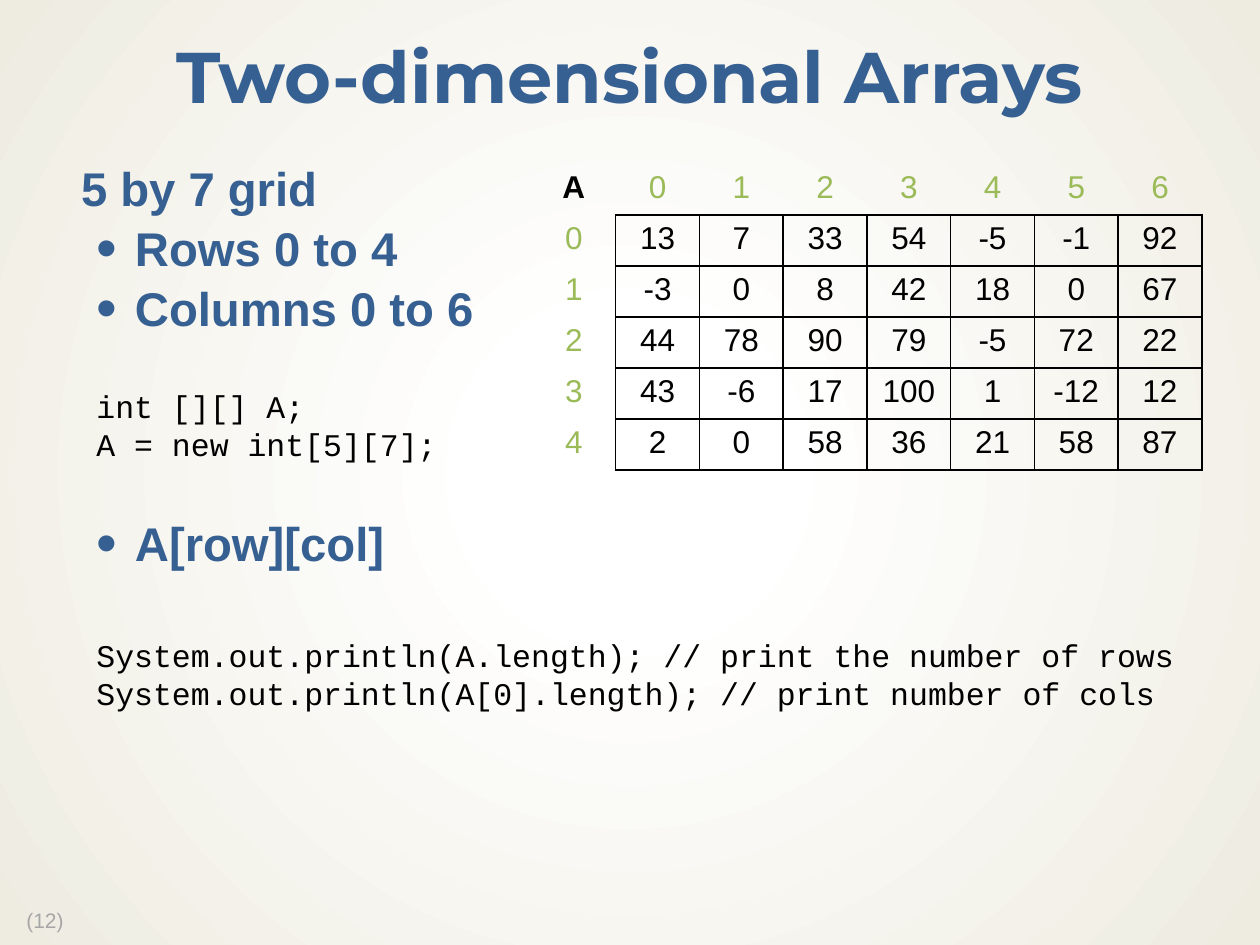
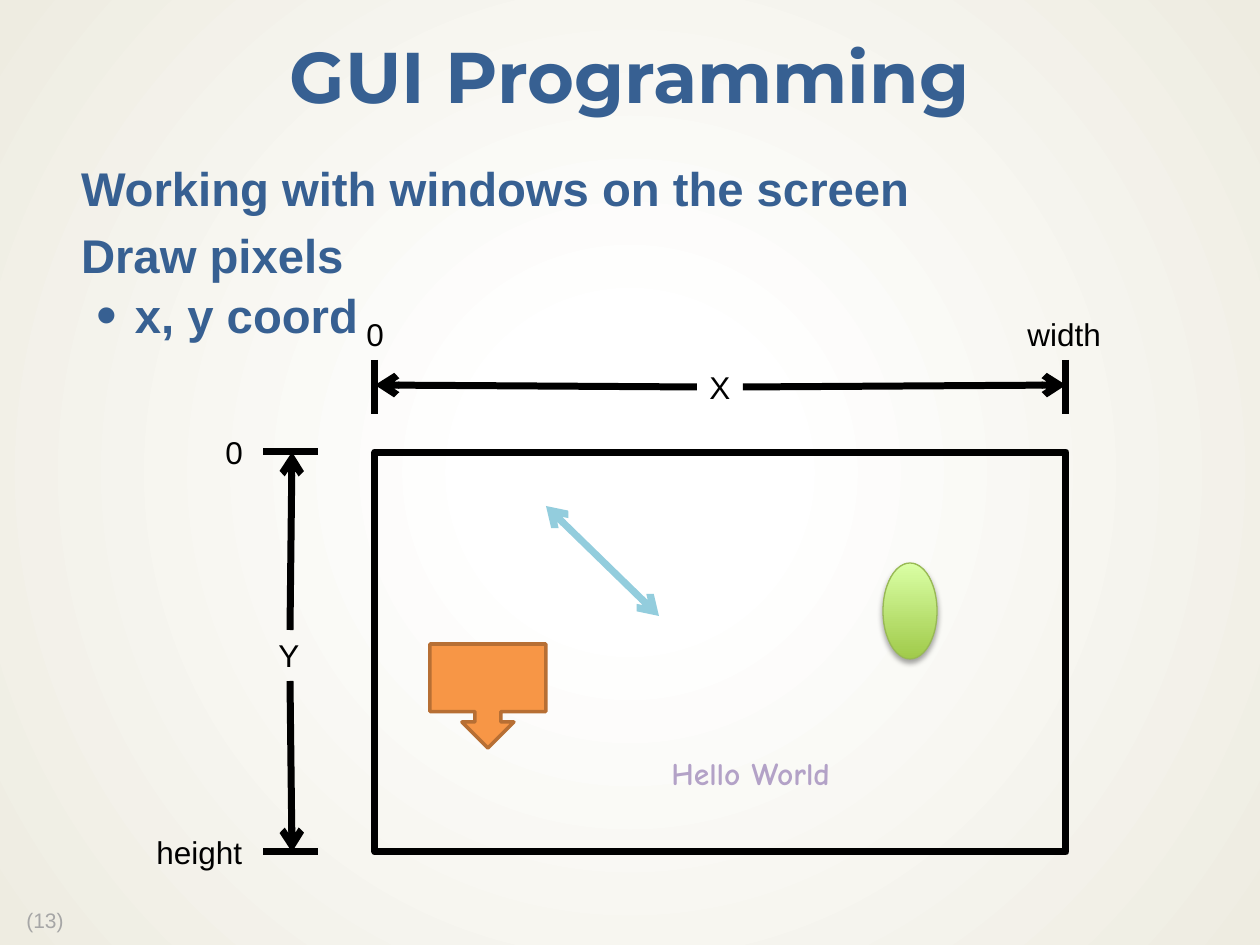
import pptx
import pptx.dml.color
import pptx.enum.shapes
import pptx.enum.text
import pptx.oxml
import pptx.oxml.ns
import pptx.util
from lxml import etree

RGBColor = pptx.dml.color.RGBColor
Pt = pptx.util.Pt
SHAPES = pptx.enum.shapes.MSO_SHAPE
ALIGN = pptx.enum.text.PP_ALIGN
ANCHOR = pptx.enum.text.MSO_ANCHOR
AUTO_SIZE = pptx.enum.text.MSO_AUTO_SIZE

EMU_PER_PX = 914400 / 126
BLACK = RGBColor(0x00, 0x00, 0x00)
NAVY = RGBColor(0x37, 0x60, 0x92)
GRAY = RGBColor(0xA6, 0xA6, 0xA6)
GREEN = RGBColor(0x9B, 0xBB, 0x59)
LEAF_DARK = RGBColor(0xA0, 0xCA, 0x4A)
LEAF_LIGHT = RGBColor(0xDA, 0xFF, 0xA5)
LEAF_EDGE = RGBColor(0x98, 0xB9, 0x55)
ORANGE = RGBColor(0xF7, 0x96, 0x46)
BROWN = RGBColor(0xB7, 0x6F, 0x34)
SKY = RGBColor(0x93, 0xCD, 0xDD)
LILAC = RGBColor(0xB3, 0xA2, 0xC7)
WHITE = RGBColor(0xFF, 0xFF, 0xFF)
CREAM = RGBColor(0xEE, 0xEC, 0xE1)

TITLE = {"name": "Montserrat", "size": Pt(41), "bold": True}
BODY = {"name": "Arial", "size": Pt(27), "bold": True}
LABEL = {"name": "Arial", "size": Pt(18), "bold": False}
CORNER = {"name": "Arial", "size": Pt(18), "bold": True}
CODE = {"name": "Courier New", "size": Pt(18), "bold": False}
GREETING = {"name": "Comic Neue", "size": Pt(18), "bold": True}
FOOTER = {"name": "Arial", "size": Pt(12), "bold": False}

GRID = [
    [13, 7, 33, 54, -5, -1, 92],
    [-3, 0, 8, 42, 18, 0, 67],
    [44, 78, 90, 79, -5, 72, 22],
    [43, -6, 17, 100, 1, -12, 12],
    [2, 0, 58, 36, 21, 58, 87],
]


def px(*lengths):
    return [pptx.util.Emu(round(length * EMU_PER_PX)) for length in lengths]


def add_xml(parent, tag, **attributes):
    child = etree.SubElement(parent, pptx.oxml.ns.qn(tag))
    for name, value in attributes.items():
        child.set(name, str(value))
    return child


def set_values(target, values):
    for name, value in values.items():
        setattr(target, name, value)


def write(para, text, style, color):
    span = para.add_run()
    span.text = text
    set_values(span.font, style)
    span.font.color.rgb = color


def place(shape, bounds):
    set_values(shape, dict(zip(("left", "top", "width", "height"), px(*bounds))))


def set_insets(frame, across, down):
    names = ("margin_left", "margin_right", "margin_top", "margin_bottom")
    set_values(frame, dict(zip(names, px(across, across, down, down))))


def set_background(master):
    fill = master.background.fill
    fill.gradient()
    for stop, position, color in zip(fill.gradient_stops, (0.18, 1), (WHITE, CREAM)):
        stop.position = position
        stop.color.rgb = color
    gradient = master.element.find(".//" + pptx.oxml.ns.qn("a:gradFill"))
    gradient.remove(gradient.find(pptx.oxml.ns.qn("a:lin")))
    circle = add_xml(gradient, "a:path", path="circle")
    add_xml(circle, "a:fillToRect", l=50000, t=50000, r=50000, b=50000)


def add_page(deck, title, number):
    page = deck.slides.add_slide(deck.slide_layouts[1])
    place(page.shapes.title, (0, 21, 1260, 118))
    frame = page.shapes.title.text_frame
    set_values(frame, {"vertical_anchor": ANCHOR.MIDDLE, "auto_size": AUTO_SIZE.NONE})
    set_insets(frame, 16, 8)
    para = frame.paragraphs[0]
    set_values(para, {"alignment": ALIGN.CENTER, "line_spacing": 0.9})
    write(para, title, TITLE, NAVY)
    add_text(page, (14, 901, 66, 35), [f"({number})"], FOOTER, GRAY)
    return page


def add_list(page, items):
    body = page.placeholders[1]
    place(body, (48, 158, 1165, 712))
    frame = body.text_frame
    frame.auto_size = AUTO_SIZE.NONE
    set_insets(frame, 15, 8)
    for index, (level, text, gap) in enumerate(items):
        para = frame.add_paragraph() if index else frame.paragraphs[0]
        props = para._p.get_or_add_pPr()
        margin, indent = px(72, -38) if level else px(18, 0)
        props.set("marL", str(margin))
        props.set("indent", str(indent))
        if level:
            add_xml(props, "a:buSzPct", val=125000)
            add_xml(props, "a:buFont", typeface="Arial")
            add_xml(props, "a:buChar", char="•")
        else:
            add_xml(props, "a:buNone")
        set_values(para, {"level": level, "line_spacing": 0.9, "space_before": Pt(gap)})
        write(para, text, BODY, NAVY)


def add_text(page, bounds, lines, style, color=BLACK):
    box = page.shapes.add_textbox(*px(*bounds))
    frame = box.text_frame
    set_values(frame, {"word_wrap": False, "auto_size": AUTO_SIZE.SHAPE_TO_FIT_TEXT})
    for index, line in enumerate(lines):
        para = frame.add_paragraph() if index else frame.paragraphs[0]
        write(para, line, style, color)


def set_borders(cell, visible):
    props = cell._tc.get_or_add_tcPr()
    for side in ("a:lnL", "a:lnR", "a:lnT", "a:lnB"):
        if side in visible:
            border = add_xml(props, side, w=Pt(1))
            add_xml(add_xml(border, "a:solidFill"), "a:srgbClr", val=BLACK)
        else:
            add_xml(add_xml(props, side, w=0), "a:noFill")


def cell_borders(row, column):
    if row and column:
        return ("a:lnL", "a:lnR", "a:lnT", "a:lnB")
    if row:
        return ("a:lnR",)
    return ("a:lnB",) if column else ()


def add_grid(page, bounds, name, values):
    rows = [[name, *range(len(values[0]))]]
    rows += [[index, *row] for index, row in enumerate(values)]
    table = page.shapes.add_table(len(rows), len(rows[0]), *px(*bounds)).table
    set_values(table, {"first_row": False, "horz_banding": False})
    for row, entries in enumerate(rows):
        for column, entry in enumerate(entries):
            cell = table.cell(row, column)
            set_borders(cell, cell_borders(row, column))
            cell.fill.background()
            para = cell.text_frame.paragraphs[0]
            para.alignment = ALIGN.CENTER
            is_index = (row == 0) != (column == 0)
            style = LABEL if row or column else CORNER
            write(para, str(entry), style, GREEN if is_index else BLACK)


def add_line(page, start, end, color=BLACK, heads=()):
    line = page.shapes.add_connector(
        pptx.enum.shapes.MSO_CONNECTOR.STRAIGHT, *px(*start, *end)
    )
    line.line.width = Pt(4)
    line.line.color.rgb = color
    for head in heads:
        add_xml(line.line._get_or_add_ln(), head, type="arrow")
    add_xml(line._element.spPr, "a:effectLst")


def add_figure(page, kind, bounds, edge, width, fill=None):
    figure = page.shapes.add_shape(kind, *px(*bounds))
    figure.shadow.inherit = False
    figure.line.color.rgb = edge
    figure.line.width = Pt(width)
    if fill is None:
        figure.fill.background()
    else:
        figure.fill.solid()
        figure.fill.fore_color.rgb = fill
    return figure


def add_leaf(page, bounds):
    leaf = add_figure(page, SHAPES.OVAL, bounds, LEAF_EDGE, 0.75)
    leaf.fill.gradient()
    leaf.fill.gradient_angle = 90
    for stop, position, color in zip(
        leaf.fill.gradient_stops, (0, 1), (LEAF_DARK, LEAF_LIGHT)
    ):
        stop.position = position
        stop.color.rgb = color
    effects = leaf._element.spPr.find(pptx.oxml.ns.qn("a:effectLst"))
    shadow = add_xml(
        effects, "a:outerShdw", blurRad=Pt(3.1), dist=Pt(1.8), dir=5400000, rotWithShape=0
    )
    add_xml(add_xml(shadow, "a:srgbClr", val=BLACK), "a:alpha", val=35000)


def build_arrays(deck):
    page = add_page(deck, "Two-dimensional Arrays", 12)
    add_list(page, [
        (0, "5 by 7 grid", 0),
        (1, "Rows 0 to 4", 5),
        (1, "Columns 0 to 6", 5),
        (1, "A[row][col]", 105),
    ])
    add_grid(page, (532, 164, 670, 306), "A", GRID)
    add_text(page, (84, 381, 369, 89), ["int [][] A;", "A = new int[5][7];"], CODE)
    add_text(page, (84, 630, 1114, 89), [
        "System.out.println(A.length); // print the number of rows",
        "System.out.println(A[0].length); // print number of cols",
    ], CODE)


def build_window(deck):
    page = add_page(deck, "GUI Programming", 13)
    add_list(page, [
        (0, "Working with windows on the screen", 0),
        (0, "Draw pixels", 9),
        (1, "x, y coord", 5),
    ])
    left, top, right, bottom = 375, 452, 1066, 852
    window = add_figure(
        page, SHAPES.RECTANGLE, (left, top, right - left, bottom - top), BLACK, 4
    )
    add_xml(window.line._get_or_add_ln(), "a:round")
    for x, middle in ((left, 697), (right, 743)):
        add_line(page, (x, 360), (x, 414))
        add_line(page, (middle, 387), (x, 385), heads=["a:tailEnd"])
    for y, middle in ((top, 630), (bottom, 681)):
        add_line(page, (318, y), (263, y))
        add_line(page, (290, middle), (292, y), heads=["a:tailEnd"])
    for text, x, y, width in (
        ("X", 697, 362, 46),
        ("Y", 266, 630, 46),
        ("0", 354, 309, 43),
        ("0", 213, 427, 43),
        ("height", 144, 827, 112),
        ("width", 1015, 309, 102),
    ):
        add_text(page, (x, y, width, 50), [text], LABEL)
    add_leaf(page, (883, 563, 54, 96))
    add_figure(page, SHAPES.DOWN_ARROW_CALLOUT, (430, 644, 116, 104), BROWN, 2, ORANGE)
    add_text(page, (659, 748, 200, 50), ["Hello World"], GREETING, LILAC)
    add_line(page, (546, 506), (659, 616), SKY, ["a:headEnd", "a:tailEnd"])


def main():
    deck = pptx.Presentation()
    deck.slide_width, deck.slide_height = px(1260, 945)
    set_background(deck.slide_master)
    build_arrays(deck)
    build_window(deck)
    deck.save("out.pptx")


if __name__ == "__main__":
    main()
